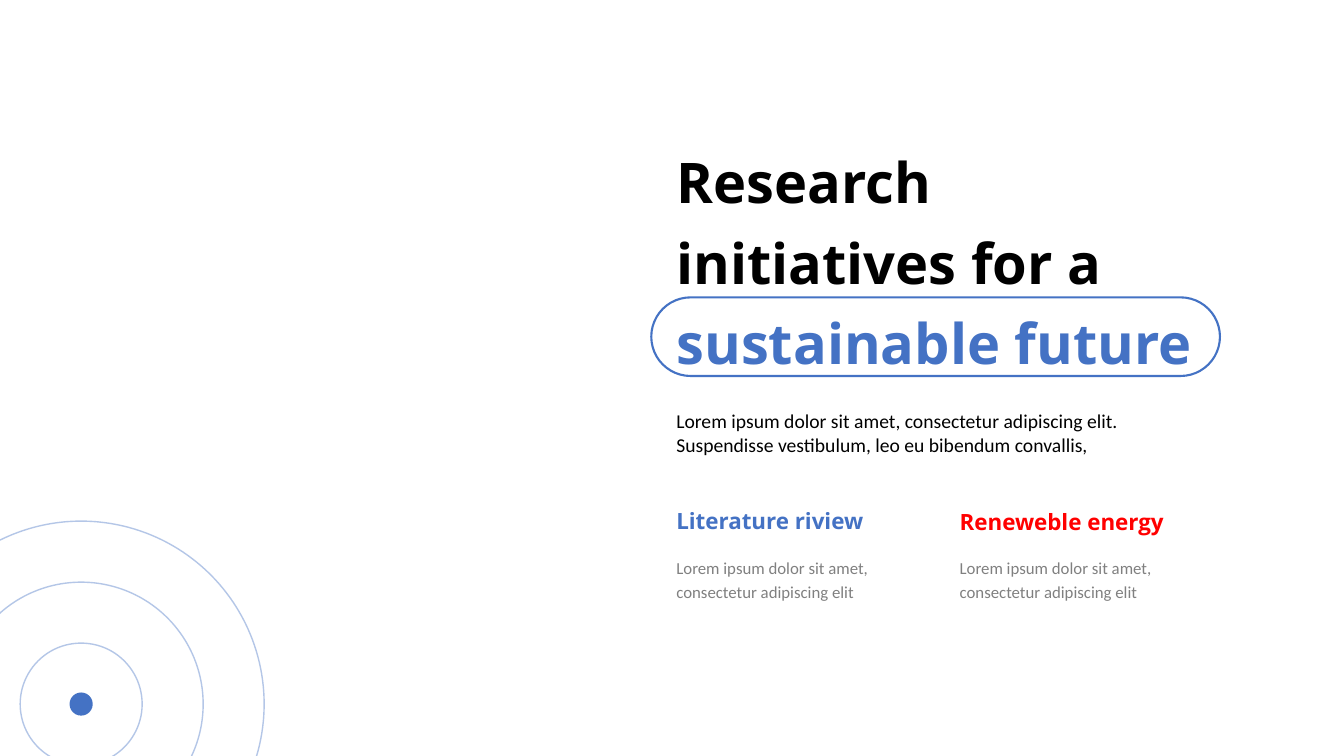
from lxml import etree
from pptx import Presentation
from pptx.dml.color import RGBColor
from pptx.enum.shapes import MSO_SHAPE as SHAPE
from pptx.enum.text import MSO_ANCHOR as ANCHOR, MSO_AUTO_SIZE as AUTO_SIZE, PP_ALIGN as ALIGN
from pptx.oxml.ns import qn
from pptx.util import Inches, Pt

BLUE = RGBColor(0x44, 0x72, 0xC4)
RED = RGBColor(0xFF, 0x00, 0x00)
GRAY = RGBColor(0x80, 0x80, 0x80)
BLACK = RGBColor(0x00, 0x00, 0x00)
HEAD_FONT, BODY_FONT = "Open Sans", "Calibri"
LEFT = 6.61


def write(sp, *runs, size, font=BODY_FONT, bold=False, spacing=1.0):
    """Fill a box with one paragraph made of (text, colour) runs."""
    tf = sp.text_frame
    tf.word_wrap = True
    tf.auto_size = AUTO_SIZE.SHAPE_TO_FIT_TEXT
    tf.vertical_anchor = ANCHOR.TOP
    p = tf.paragraphs[0]
    p.alignment = ALIGN.LEFT
    p.line_spacing = spacing
    for text, color in runs:
        r = p.add_run()
        r.text = text
        r.font.size = Pt(size)
        r.font.name = font
        r.font.bold = bold
        r.font.color.rgb = color


def add_outline(kind, x, y, w, h, weight):
    sp = shapes.add_shape(kind, Inches(x), Inches(y), Inches(w), Inches(h))
    sp.shadow.inherit = False
    sp.fill.background()
    sp.line.color.rgb = BLUE
    sp.line.width = Pt(weight)
    return sp


prs = Presentation()
prs.slide_width, prs.slide_height = Inches(13.33), Inches(7.5)
slide = prs.slides.add_slide(prs.slide_layouts[5])
shapes = slide.shapes

# Title with its highlighted last line
title = shapes.title
title.left, title.top = Inches(LEFT), Inches(1.28)
title.width, title.height = Inches(5.49), Inches(2.47)
write(title, ("Research initiatives for a ", BLACK), ("sustainable future", BLUE),
      size=40, font=HEAD_FONT, bold=True, spacing=1.2)
pill = add_outline(SHAPE.ROUNDED_RECTANGLE, 6.46, 2.95, 5.64, 0.78, 1.5)
pill.adjustments[0] = 0.5

# Introduction
intro = shapes.add_textbox(Inches(LEFT), Inches(4.01), Inches(4.9), Inches(0.57))
write(intro, ("Lorem ipsum dolor sit amet, consectetur adipiscing elit. "
              "Suspendisse vestibulum, leo eu bibendum convallis,", BLACK), size=14)

# Two topics side by side
for x, y, heading, color in [(LEFT, 4.98, "Literature riview", BLUE),
                             (9.42, 4.99, "Reneweble energy", RED)]:
    head = shapes.add_textbox(Inches(x), Inches(y), Inches(2.36), Inches(0.37))
    write(head, (heading, color), size=16, font=HEAD_FONT, bold=True)
    detail = shapes.add_textbox(Inches(x), Inches(5.44), Inches(2.21), Inches(0.57))
    write(detail, ("Lorem ipsum dolor sit amet, consectetur adipiscing elit", GRAY),
          size=12, spacing=1.2)

# Dot with evenly spaced rings
CENTER_X, CENTER_Y, DOT, RING_STEP = 0.805, 6.985, 0.23, 1.21
dot = add_outline(SHAPE.OVAL, CENTER_X - DOT / 2, CENTER_Y - DOT / 2, DOT, DOT, 1)
dot.fill.solid()
dot.fill.fore_color.rgb = BLUE
dot.line.fill.background()
for n in range(1, 4):
    d = n * RING_STEP
    ring = add_outline(SHAPE.OVAL, CENTER_X - d / 2, CENTER_Y - d / 2, d, d, 1)
    line_color = ring.line._ln.find(".//" + qn("a:srgbClr"))
    etree.SubElement(line_color, qn("a:alpha")).set("val", "40000")

prs.save("out.pptx")
